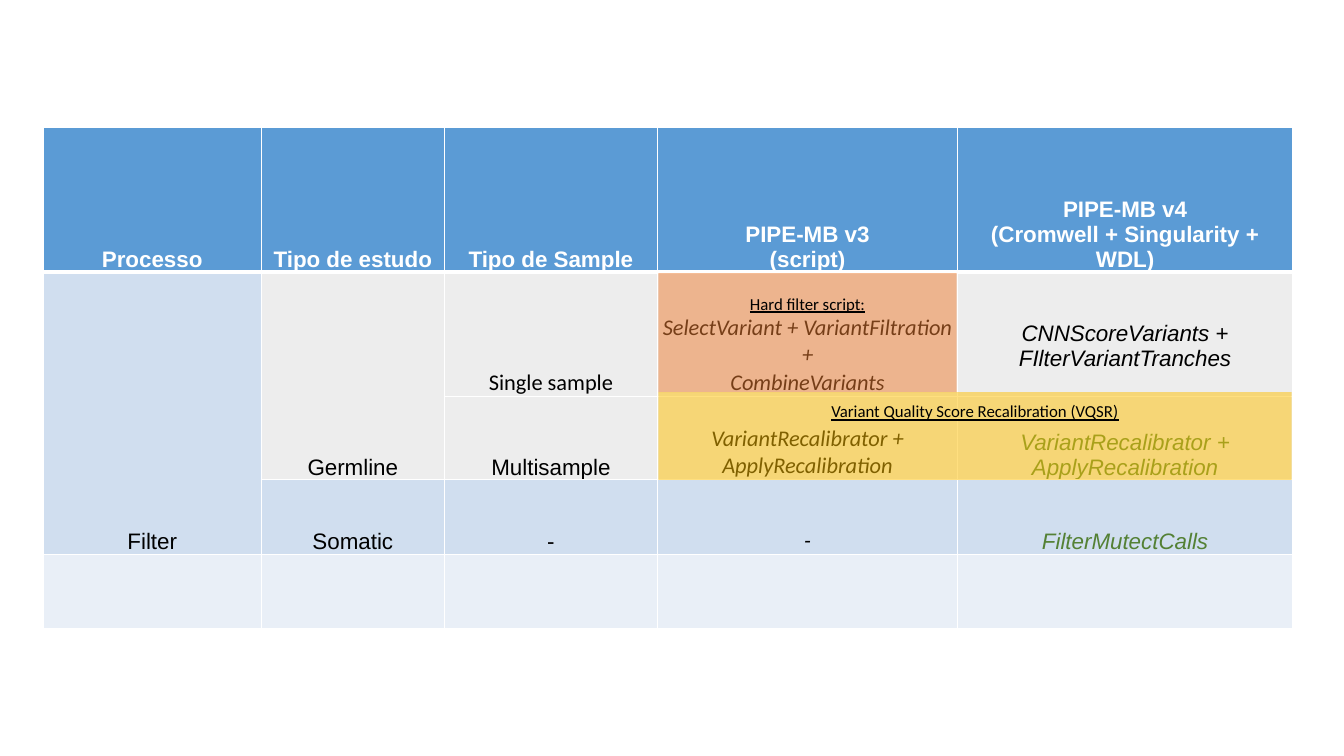
from lxml.etree import SubElement
from pptx import Presentation
from pptx.dml.color import RGBColor
from pptx.enum.shapes import MSO_SHAPE
from pptx.enum.text import MSO_ANCHOR, PP_ALIGN
from pptx.oxml.ns import qn
from pptx.util import Inches, Pt

HUES = {
    "head": "5B9BD5", "blue": "D0DEEF", "grey": "EDEDED", "pale": "E9EFF7",
    "white": "FFFFFF", "black": "000000", "green": "548135",
    "rust": "ED7D31", "gold": "FFC000",
}
COLS = [2.16, 1.82, 2.11, 2.98, 3.32]
ROWS = [1.44, 1.23, 0.83, 0.74, 0.74]
FILLS = ["head", "grey", "grey", "blue", "pale"]
HEADS = [
    "Processo", "Tipo de estudo", "Tipo de Sample",
    "PIPE-MB v3\n(script)", "PIPE-MB v4\n(Cromwell + Singularity + WDL)",
]
CALLS = {"italic": True}
SCRIPT = {"italic": True, "name": "Calibri"}
BODY = {
    (1, 0): ("Filter", {}),
    (1, 1): ("Germline", {}),
    (1, 2): ("Single sample", {"name": "Calibri"}),
    (1, 3): ("SelectVariant + VariantFiltration +\nCombineVariants", SCRIPT),
    (1, 4): ("CNNScoreVariants + FIlterVariantTranches", CALLS),
    (2, 2): ("Multisample", {}),
    (2, 3): ("VariantRecalibrator + ApplyRecalibration", SCRIPT),
    (2, 4): ("VariantRecalibrator + ApplyRecalibration", CALLS | {"hue": "green"}),
    (3, 1): ("Somatic", {}),
    (3, 2): ("-", {}),
    (3, 3): ("-", SCRIPT),
    (3, 4): ("FilterMutectCalls", CALLS | {"hue": "green"}),
}


def tint(name):
    """Return the named colour."""
    return RGBColor.from_string(HUES[name])


def write(frame, text, form):
    """Put centred text in a frame, one paragraph a line."""
    form = {"name": "Arial", "size": Pt(16), "hue": "black"} | form
    hue = form.pop("hue")
    frame.text = text
    for para in frame.paragraphs:
        para.alignment = PP_ALIGN.CENTER
        para.font.color.rgb = tint(hue)
        for key, value in form.items():
            setattr(para.font, key, value)


def edge(cell, base):
    """Draw white lines round a cell, the lower one base points wide."""
    props = cell._tc.get_or_add_tcPr()
    for side, width in zip("LRTB", (1, 1, 1, base)):
        line = SubElement(props, qn(f"a:ln{side}"), w=str(Pt(width)))
        fill = SubElement(line, qn("a:solidFill"))
        SubElement(fill, qn("a:srgbClr"), val=HUES["white"])


def dress(cell, hue, base):
    """Give a cell its lines, fill, margins and anchor."""
    edge(cell, base)
    cell.fill.solid()
    cell.fill.fore_color.rgb = tint(hue)
    cell.vertical_anchor = MSO_ANCHOR.BOTTOM
    cell.margin_left = cell.margin_right = cell.margin_top = Inches(0.01)
    cell.margin_bottom = 0


def add_grid(slide):
    """Add the table of filter steps."""
    grid = slide.shapes.add_table(
        len(ROWS), len(COLS), Inches(0.43), Inches(1.26),
        Inches(sum(COLS)), Inches(sum(ROWS))).table
    for col, width in zip(grid.columns, COLS):
        col.width = Inches(width)
    for row, height in zip(grid.rows, ROWS):
        row.height = Inches(height)
    grid.cell(1, 0).merge(grid.cell(3, 0))
    grid.cell(1, 1).merge(grid.cell(2, 1))
    for r, hue in enumerate(FILLS):
        for c in range(len(COLS)):
            tone = "blue" if c == 0 and 0 < r < 4 else hue
            dress(grid.cell(r, c), tone, 3 if r == 0 else 1)
    for c, text in enumerate(HEADS):
        write(grid.cell(0, c).text_frame, text, {"bold": True, "hue": "white"})
    for (r, c), (text, form) in BODY.items():
        write(grid.cell(r, c).text_frame, text, form)
    grid.cell(1, 4).margin_bottom = Inches(0.25)


def add_veil(slide, text, hue, box, gap):
    """Lay a half-clear box over the table, its label gap inches down."""
    veil = slide.shapes.add_shape(MSO_SHAPE.RECTANGLE, *map(Inches, box))
    veil.shadow.inherit = False
    veil.line.fill.background()
    veil.fill.solid()
    veil.fill.fore_color.rgb = tint(hue)
    tone = veil._element.spPr.find(f".//{qn('a:srgbClr')}")
    SubElement(tone, qn("a:alpha"), val="50000")
    frame = veil.text_frame
    frame.word_wrap = True
    frame.vertical_anchor = MSO_ANCHOR.TOP
    frame.margin_top = Inches(gap)
    write(frame, text, {"name": "Calibri", "size": Pt(12), "underline": True})


def main():
    """Build and save the slide."""
    deck = Presentation()
    deck.slide_width, deck.slide_height = Inches(13.33), Inches(7.5)
    slide = deck.slides.add_slide(deck.slide_layouts[6])
    add_grid(slide)
    add_veil(slide, "Hard filter script:", "rust", (6.53, 2.71, 2.96, 1.18), 0.2)
    add_veil(slide, "Variant Quality Score Recalibration (VQSR)", "gold",
             (6.53, 3.89, 6.28, 0.87), 0.09)
    deck.save("out.pptx")


if __name__ == "__main__":
    main()
